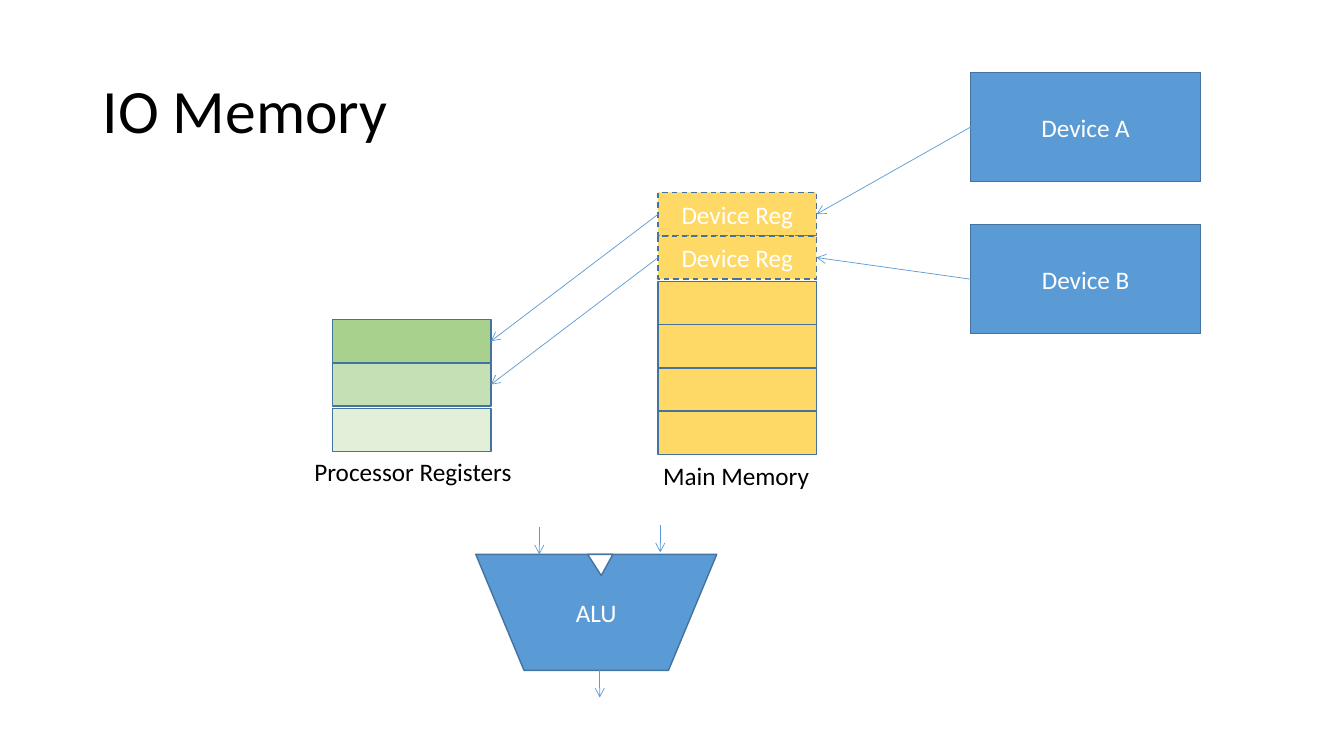
from dataclasses import dataclass

from lxml import etree
from pptx import Presentation
from pptx.dml.color import RGBColor
from pptx.enum.dml import MSO_LINE
from pptx.enum.shapes import MSO_CONNECTOR, MSO_SHAPE
from pptx.enum.text import MSO_ANCHOR, PP_ALIGN
from pptx.oxml.ns import qn
from pptx.util import Inches, Pt

RECT = MSO_SHAPE.RECTANGLE
FUNNEL = MSO_SHAPE.FLOWCHART_MANUAL_OPERATION
NOTCH = MSO_SHAPE.ISOSCELES_TRIANGLE
STRAIGHT = MSO_CONNECTOR.STRAIGHT
DASH = MSO_LINE.DASH
MIDDLE, TOP = MSO_ANCHOR.MIDDLE, MSO_ANCHOR.TOP
LEFT, CENTER = PP_ALIGN.LEFT, PP_ALIGN.CENTER

WHITE = RGBColor(0xFF, 0xFF, 0xFF)
BLACK = RGBColor(0, 0, 0)
BLUE = RGBColor(0x5B, 0x9B, 0xD5)
EDGE = RGBColor(0x43, 0x73, 0x9E)
GOLD = RGBColor(0xFF, 0xD9, 0x66)
GREENS = (RGBColor(0xA9, 0xD1, 0x8E), RGBColor(0xC5, 0xE0, 0xB4),
          RGBColor(0xE2, 0xF0, 0xD9))
FONT = "Calibri"

# The grid has ten columns and ten rows to the inch.
CELL = Inches(0.1)
WIDE, HIGH = 133.33, 75
SLOT_W, SLOT_H = 15.7, 4.3
SEAM = 0.2  # gap below the two slots tied to devices
LINKED = 2


@dataclass(frozen=True)
class Box:
    """A filled shape, placed in grid cells."""
    x: float
    y: float
    w: float
    h: float
    fill: RGBColor = BLUE
    text: str = ""
    kind: int = RECT
    dashed: bool = False

    @property
    def mid(self) -> float:
        """Row of the centre."""
        return self.y + self.h / 2

    @property
    def right(self) -> float:
        """Column of the right edge."""
        return self.x + self.w


def cells(*spans: float) -> list[int]:
    """Turn grid cells into lengths."""
    return [round(span * CELL) for span in spans]


def write(frame, text: str, size: int, color: RGBColor, align: int) -> None:
    """Fill a text frame with one styled paragraph."""
    para = frame.paragraphs[0]
    para.text = text
    para.alignment = align
    para.font.name = FONT
    para.font.size = Pt(size)
    para.font.color.rgb = color


def draw(shapes, box: Box):
    """Draw a box and its centred text."""
    shape = shapes.add_shape(box.kind, *cells(box.x, box.y, box.w, box.h))
    shape.shadow.inherit = False
    shape.fill.solid()
    shape.fill.fore_color.rgb = box.fill
    shape.line.color.rgb = EDGE
    shape.line.width = Pt(1)
    if box.dashed:
        shape.line.dash_style = DASH
    if box.text:
        shape.text_frame.vertical_anchor = MIDDLE
        write(shape.text_frame, box.text, 18, WHITE, CENTER)
    return shape


def label(shapes, text: str, x: float, y: float, w: float, h: float,
          size: int = 18, anchor: int = TOP, wrap: bool = False):
    """Add a black text box."""
    frame = shapes.add_textbox(*cells(x, y, w, h)).text_frame
    frame.word_wrap = wrap
    frame.vertical_anchor = anchor
    write(frame, text, size, BLACK, LEFT)
    return frame


def arrow(shapes, x: float, y: float, to_x: float, to_y: float) -> None:
    """Draw a thin line with an open head at its end."""
    link = shapes.add_connector(STRAIGHT, *cells(x, y, to_x, to_y))
    link.line.color.rgb = BLUE
    link.line.width = Pt(0.5)
    etree.SubElement(link.line._get_or_add_ln(), qn("a:tailEnd"), type="arrow")
    etree.SubElement(link._element.spPr, qn("a:effectLst"))


def stack(x: float, y: float, fills: tuple, texts: tuple = ()) -> list[Box]:
    """Lay out slots downward; those with text are dashed."""
    slots = []
    for row, fill in enumerate(fills):
        top = y + row * SLOT_H + (SEAM if row >= LINKED else 0)
        text = texts[row] if row < len(texts) else ""
        slots.append(Box(x, top, SLOT_W, SLOT_H, fill, text,
                         dashed=bool(text)))
    return slots


def build() -> None:
    """Build the slide and save it."""
    deck = Presentation()
    deck.slide_width, deck.slide_height = cells(WIDE, HIGH)
    shapes = deck.slides.add_slide(deck.slide_layouts[6]).shapes

    title = label(shapes, "IO Memory", 9.2, 4, 115, 14.5, 44, MIDDLE, True)
    title.paragraphs[0].line_spacing = 0.9

    alu = Box(47.2, 55, 23.9, 11.5, text="ALU", kind=FUNNEL)
    draw(shapes, alu)
    notch = draw(shapes, Box(58.3, 55, 2.5, 2.1, WHITE, kind=NOTCH))
    notch.rotation = 180
    notch.adjustments[0] = 0.464

    regs = stack(33, 31.7, GREENS)
    memory = stack(65.3, 19.1, (GOLD,) * 6, ("Device Reg",) * LINKED)
    devices = [Box(96.3, 7.2 + 15.1 * row, 22.8, 10.8, text=f"Device {name}")
               for row, name in enumerate("AB")]
    for box in regs[::-1] + memory + devices:
        draw(shapes, box)

    label(shapes, "Main Memory", 64.8, 45.2, 16.7, 4)
    label(shapes, "Processor Registers", 30.2, 44.8, 21.8, 4)

    for device, slot, reg in zip(devices, memory, regs):
        arrow(shapes, device.x, device.mid, slot.right, slot.mid)
        arrow(shapes, slot.x, slot.mid, reg.right, reg.mid)
    for x, y in ((53.5, 52.3), (65.5, 52.1), (59.5, alu.y + alu.h)):
        arrow(shapes, x, y, x, y + 2.7)

    deck.save("out.pptx")


build()
